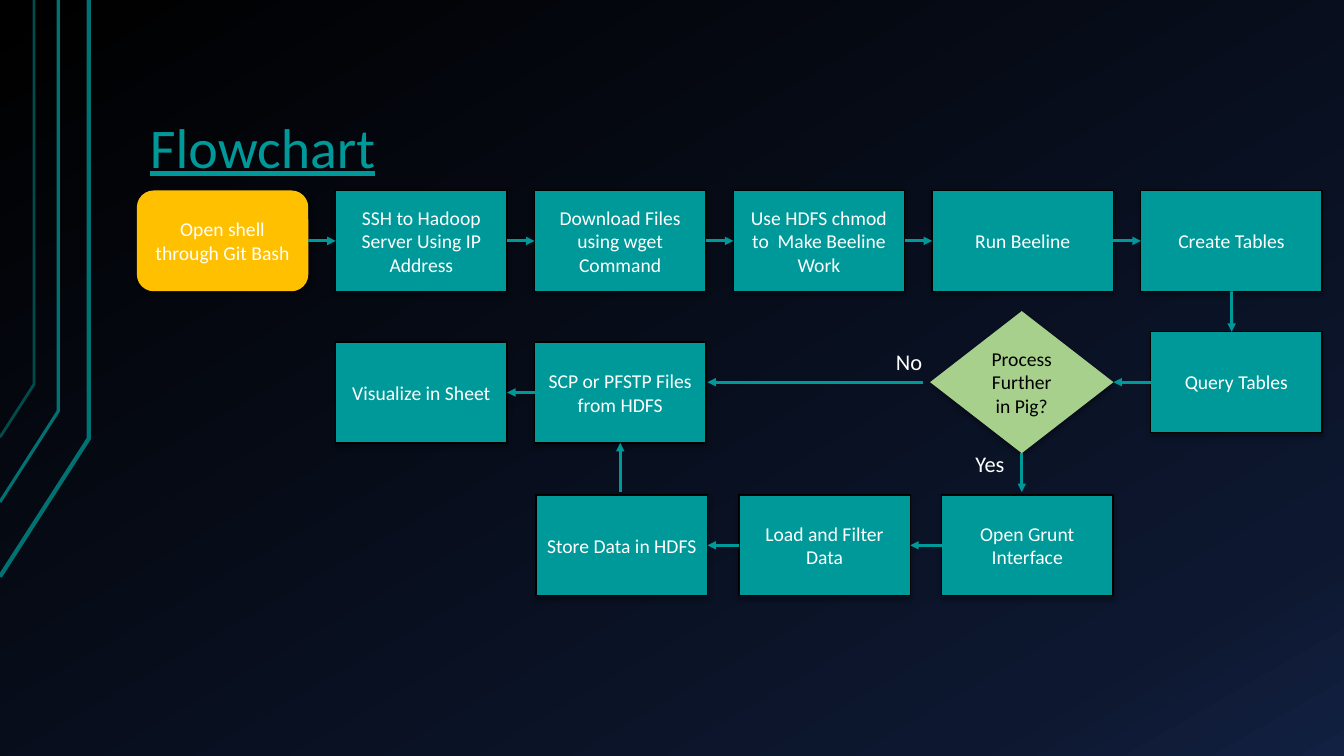
from copy import deepcopy

from lxml import etree
from pptx import Presentation
from pptx.dml.color import RGBColor
from pptx.enum.shapes import MSO_CONNECTOR, MSO_SHAPE
from pptx.enum.text import MSO_ANCHOR, PP_ALIGN
from pptx.oxml.ns import qn
from pptx.util import Cm, Pt

PROCESS = MSO_SHAPE.FLOWCHART_PROCESS
START = MSO_SHAPE.FLOWCHART_ALTERNATE_PROCESS
DECISION = MSO_SHAPE.FLOWCHART_DECISION
STRAIGHT = MSO_CONNECTOR.STRAIGHT
TOP, LEFT, BOTTOM, RIGHT = range(4)

BLACK = RGBColor(0x00, 0x00, 0x00)
NAVY = RGBColor(0x0D, 0x17, 0x2F)
BLUE = RGBColor(0x12, 0x20, 0x41)
WHITE = RGBColor(0xFF, 0xFF, 0xFF)
TEAL = RGBColor(0x00, 0x99, 0x99)
DARK_TEAL = RGBColor(0x00, 0x72, 0x72)
DEEP_TEAL = RGBColor(0x00, 0x4C, 0x4C)
AMBER = RGBColor(0xFF, 0xC0, 0x00)
GREEN = RGBColor(0xA8, 0xD0, 0x8D)

FONT = "Calibri"
STEP_WIDTH, WIDE_STEP, STEP_HEIGHT = 4.32, 4.57, 2.54

# Shadow: opacity %, blur pt, distance pt, direction in degrees
STEP_SHADOW = (32, 3.5, 2.2, 90)
START_SHADOW = (40, 4, 3, 45)

# Corner lines: foot, bend, colour, weight
CORNER_LINES = [
    (14.53, (2.24, 11.05), DARK_TEAL, 3),
    (12.65, (1.47, 10.36), DARK_TEAL, 2.25),
    (11.02, (0.86, 9.68), DEEP_TEAL, 2),
]


def paint_background(page):
    fill = page.background.fill
    fill.gradient()
    fill.gradient_angle = 300
    stop_list = page.element.find(".//" + qn("a:gsLst"))
    stop_list.append(deepcopy(stop_list[-1]))
    colours = [(0, BLACK), (0.85, NAVY), (1, BLUE)]
    for stop, (position, colour) in zip(fill.gradient_stops, colours):
        stop.position = position
        stop.color.rgb = colour


def add_corner_line(page, foot, bend, colour, weight):
    bend_x, bend_y = bend
    builder = page.shapes.build_freeform(0, Cm(foot))
    builder.add_line_segments(
        [(Cm(bend_x), Cm(bend_y)), (Cm(bend_x), 0)], close=False)
    line = builder.convert_to_shape()
    line.shadow.inherit = False
    line.fill.background()
    line.line.color.rgb = colour
    line.line.width = Pt(weight)


def write(shape, text, size, colour, **paragraph_format):
    para = shape.text_frame.paragraphs[0]
    for name, value in paragraph_format.items():
        setattr(para, name, value)
    span = para.add_run()
    span.text = text
    for name, value in {"name": FONT, "size": Pt(size)}.items():
        setattr(span.font, name, value)
    span.font.color.rgb = colour
    return span


def add_text(page, text, left, top, width, height, size, colour,
             frame_format, **paragraph_format):
    box = page.shapes.add_textbox(Cm(left), Cm(top), Cm(width), Cm(height))
    box.text_frame.word_wrap = True
    for name, value in frame_format.items():
        setattr(box.text_frame, name, value)
    return write(box, text, size, colour, **paragraph_format)


def add_shadow(shape, opacity, blur, distance, direction):
    shape.shadow.inherit = False
    effects = shape.element.spPr.find(qn("a:effectLst"))
    shadow = etree.SubElement(
        effects, qn("a:outerShdw"), blurRad=str(Pt(blur)),
        dist=str(Pt(distance)), dir=str(direction * 60000), rotWithShape="0")
    colour = etree.SubElement(shadow, qn("a:srgbClr"), val=str(BLACK))
    etree.SubElement(colour, qn("a:alpha"), val=str(opacity * 1000))


def add_step(page, text, left, top, width=STEP_WIDTH, height=STEP_HEIGHT,
             kind=PROCESS, fill=TEAL, colour=WHITE, shadow=STEP_SHADOW):
    step = page.shapes.add_shape(kind, Cm(left), Cm(top), Cm(width), Cm(height))
    add_shadow(step, *shadow)
    step.fill.solid()
    step.fill.fore_color.rgb = fill
    if kind == PROCESS:
        step.line.color.rgb = BLACK
        step.line.width = Pt(1)
    else:
        step.line.fill.background()
    step.text_frame.word_wrap = True
    step.text_frame.vertical_anchor = MSO_ANCHOR.MIDDLE
    write(step, text, 14, colour, alignment=PP_ALIGN.CENTER)
    return step


def add_row(page, left, top, gap, steps):
    row = []
    for text, options in steps:
        step = add_step(page, text, left, top, **options)
        left += options.get("width", STEP_WIDTH) + gap
        row.append(step)
    return row


def add_arrow(page, x1=0, y1=0, x2=0, y2=0, source=None, target=None):
    """source and target are (shape, side) pairs that the arrow is joined to."""
    arrow = page.shapes.add_connector(STRAIGHT, Cm(x1), Cm(y1), Cm(x2), Cm(y2))
    if source:
        arrow.begin_connect(*source)
    if target:
        arrow.end_connect(*target)
    arrow.line.color.rgb = TEAL
    arrow.line.width = Pt(2)
    etree.SubElement(arrow.line._get_or_add_ln(), qn("a:tailEnd"), type="triangle")
    etree.SubElement(arrow.element.spPr, qn("a:effectLst"))


def main():
    deck = Presentation()
    deck.slide_width, deck.slide_height = Cm(33.87), Cm(19.05)
    page = deck.slides.add_slide(deck.slide_layouts[6])

    # Background and corner lines
    paint_background(page)
    for corner_line in CORNER_LINES:
        add_corner_line(page, *corner_line)

    # Title
    title_frame = {"vertical_anchor": MSO_ANCHOR.BOTTOM,
                   "margin_left": Cm(0.33), "margin_right": Cm(0.33),
                   "margin_top": Cm(0.18), "margin_bottom": Cm(0.18)}
    title = add_text(page, "Flowchart", 3.45, 1.32, 28.78, 3.4, 40, TEAL,
                     title_frame, line_spacing=0.9)
    title.font.underline = True

    # Steps
    start = {"kind": START, "fill": AMBER, "shadow": START_SHADOW}
    wide = {"width": WIDE_STEP}
    setup = add_row(page, 3.45, 4.8, 0.69, [
        ("Open shell through Git Bash", start),
        ("SSH to Hadoop Server Using IP Address", {}),
        ("Download Files using wget Command", {}),
        ("Use HDFS chmod to  Make Beeline Work", {}),
        ("Run Beeline", wide),
        ("Create Tables", wide),
    ])
    visualize, transfer = add_row(page, 8.46, 8.62, 0.69, [
        ("Visualize in Sheet", {}),
        ("SCP or PFSTP Files from HDFS", {}),
    ])
    store, load, grunt = add_row(page, 13.51, 12.47, 0.79, [
        ("Store Data in HDFS", {}),
        ("Load and Filter Data", {}),
        ("Open Grunt Interface", {}),
    ])
    query = add_step(page, "Query Tables", 29, 8.36)
    decision = add_step(page, "Process Further in Pig?", 23.44, 7.84, 4.62, 3.58,
                        DECISION, GREEN, BLACK)

    # Branch labels
    add_text(page, "No", 22.33, 8.64, 1.7, 1.14, 16, WHITE, {})
    add_text(page, "Yes", 24.33, 11.23, 1.68, 1.09, 16, WHITE, {})

    # Arrows between neighbours
    for source, target in zip(setup, setup[1:]):
        add_arrow(page, source=(source, RIGHT), target=(target, LEFT))
    for source, target in [(query, decision), (grunt, load), (load, store),
                           (transfer, visualize)]:
        add_arrow(page, source=(source, LEFT), target=(target, RIGHT))

    # Arrows between rows, and the "No" branch
    add_arrow(page, x2=31.04, y2=8.36, source=(setup[-1], BOTTOM))
    add_arrow(page, x2=25.75, y2=12.4, source=(decision, BOTTOM))
    add_arrow(page, x1=15.63, y1=12.4, target=(transfer, BOTTOM))
    add_arrow(page, 23.27, 9.63, 17.83, 9.63)

    deck.save("out.pptx")


if __name__ == "__main__":
    main()
